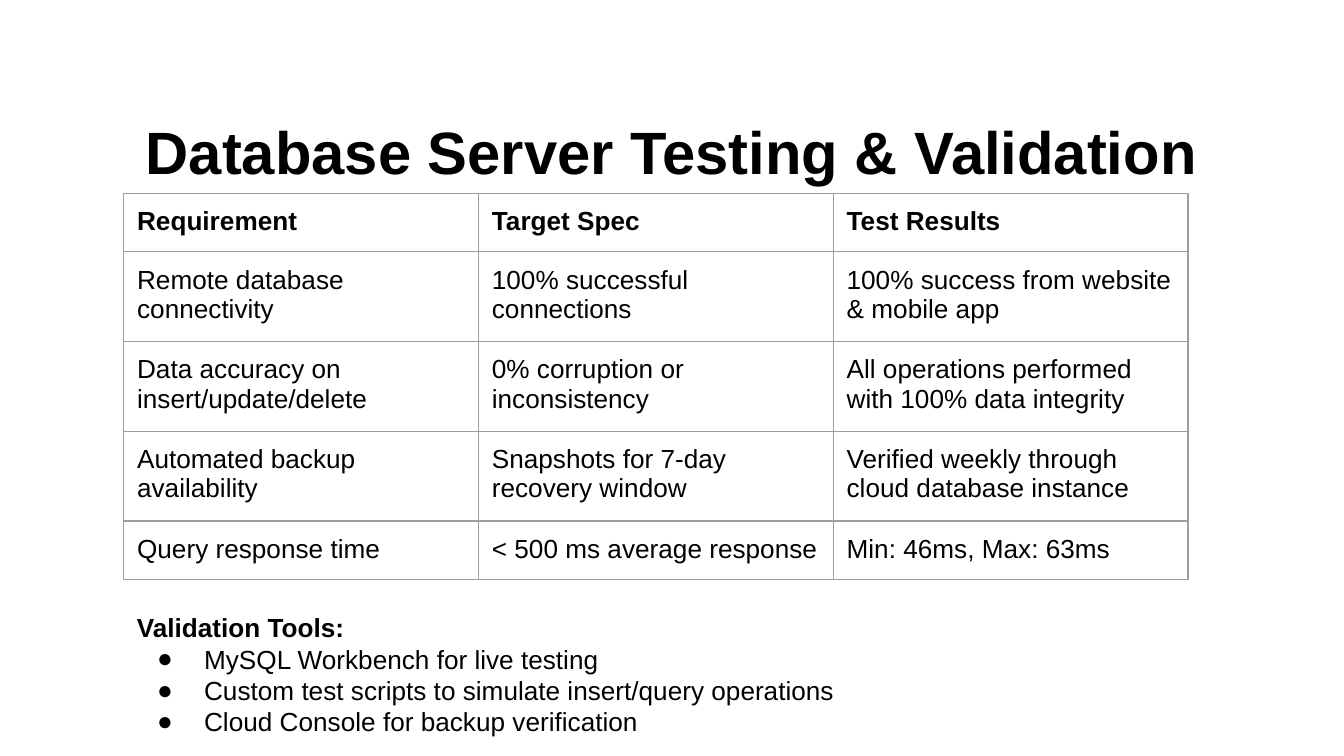
from pptx import Presentation
from pptx.dml.color import RGBColor as Rgb
from pptx.enum.text import MSO_ANCHOR as Anchor, PP_ALIGN as Align
from pptx.oxml import parse_xml
from pptx.oxml.ns import nsdecls
from pptx.util import Inches, Pt

BLACK, GRAY = "000000", "9E9E9E"
PAD = Inches(0.1)


def style(para, size, bold=False):
    para.line_spacing = 1.0
    for run in para.runs:
        font = run.font
        font.name, font.size, font.bold = "Arial", Pt(size), bold
        font.color.rgb = Rgb.from_string(BLACK)


def pad(box):
    """Give a cell or text frame the same margin on every side."""
    box.margin_left = box.margin_right = PAD
    box.margin_top = box.margin_bottom = PAD


deck = Presentation()
deck.slide_width = Inches(10)
deck.slide_height = Inches(10) * 9 // 16
slide = deck.slides.add_slide(deck.slide_layouts[6])
shapes = slide.shapes

# Title
frame = shapes.add_textbox(Inches(0.5), Inches(0.79), Inches(9), Inches(0.66)).text_frame
frame.word_wrap = True
frame.vertical_anchor = Anchor.MIDDLE
frame.text = "Database Server Testing & Validation"
title = frame.paragraphs[0]
title.alignment = Align.CENTER
style(title, 32, True)

# Test table
rows = [
    ("Requirement", "Target Spec", "Test Results"),
    ("Remote database connectivity", "100% successful connections",
     "100% success from website & mobile app"),
    ("Data accuracy on insert/update/delete", "0% corruption or inconsistency",
     "All operations performed with 100% data integrity"),
    ("Automated backup availability", "Snapshots for 7-day recovery window",
     "Verified weekly through cloud database instance"),
    ("Query response time", "< 500 ms average response", "Min: 46ms, Max: 63ms"),
]
wide, high, side = Inches(2.64), Inches(0.42), Inches(3.28)
grid = shapes.add_table(len(rows), 3, Inches(0.92), Inches(1.44), side, side)
table = grid.table
table.first_row = table.horz_banding = False
for col in table.columns:
    col.width = wide
for r, row in enumerate(rows):
    table.rows[r].height = high
    for c, text in enumerate(row):
        cell = table.cell(r, c)
        cell.text_frame.text = text
        style(cell.text_frame.paragraphs[0], 14, r == 0)
        pad(cell)
        props = cell._tc.get_or_add_tcPr()
        for edge in "LRTB":
            props.append(parse_xml(
                f'<a:ln{edge} {nsdecls("a")} w="{Pt(0.75)}"><a:solidFill>'
                f'<a:srgbClr val="{GRAY}"/></a:solidFill></a:ln{edge}>'))
        cell.fill.background()
# Sizing rows and columns resets the frame, so it is set last
grid.width = grid.height = side

# Validation tools
tools = [
    "Validation Tools:",
    "MySQL Workbench for live testing",
    "Custom test scripts to simulate insert/query operations",
    "Cloud Console for backup verification",
]
frame = shapes.add_textbox(Inches(0.92), Inches(4.45), Inches(8.71), Inches(0.79)).text_frame
frame.word_wrap = True
pad(frame)
frame.text = "\n".join(tools)
for n, para in enumerate(frame.paragraphs):
    if n:
        props = para._p.get_or_add_pPr()
        props.set("marL", str(Inches(0.5)))
        props.set("indent", str(Inches(-0.35)))
        for tag in (f'buClr {nsdecls("a")}><a:srgbClr val="{BLACK}"/></a:buClr>',
                    f'buFont {nsdecls("a")} typeface="Arial"/>',
                    f'buChar {nsdecls("a")} char="●"/>'):
            props.append(parse_xml("<a:" + tag))
    style(para, 14, n == 0)

deck.save("out.pptx")
